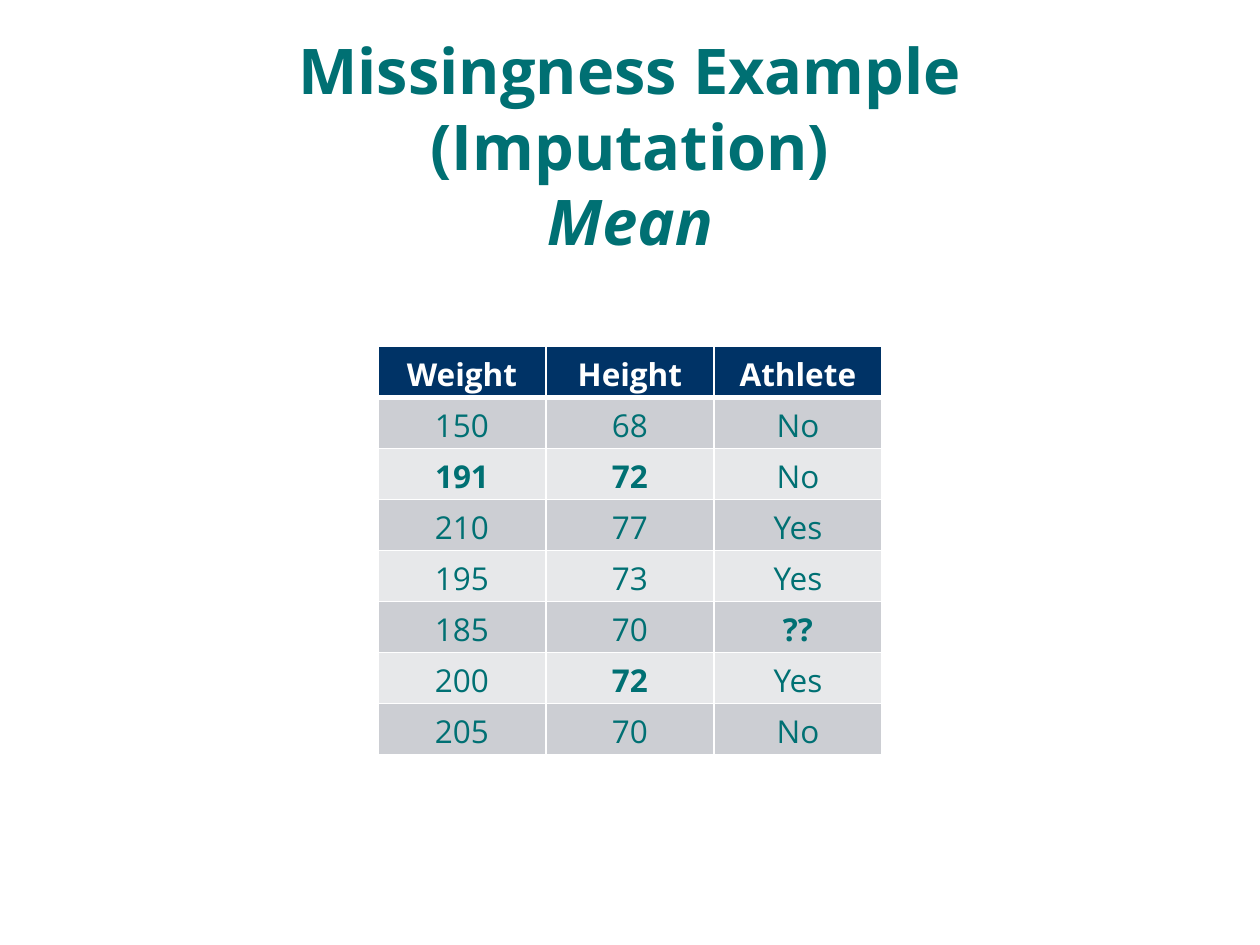
from lxml.etree import SubElement
from pptx import Presentation
from pptx.dml.color import RGBColor
from pptx.enum.text import MSO_ANCHOR, PP_ALIGN
from pptx.oxml.ns import qn
from pptx.util import Inches, Pt

TEAL = RGBColor(0x00, 0x70, 0x73)
NAVY = RGBColor(0x00, 0x33, 0x66)
WHITE = RGBColor(0xFF, 0xFF, 0xFF)
DARK_BAND = RGBColor(0xCC, 0xCE, 0xD3)
LIGHT_BAND = RGBColor(0xE7, 0xE8, 0xEA)
FONT_NAME = "Open Sans"

ROWS = [
    ["Weight", "Height", "Athlete"],
    ["150", "68", "No"],
    ["191", "72", "No"],
    ["210", "77", "Yes"],
    ["195", "73", "Yes"],
    ["185", "70", "??"],
    ["200", "72", "Yes"],
    ["205", "70", "No"],
]
MISSING_CELLS = {(2, 0), (2, 1), (5, 2), (6, 1)}


def format_font(font, size, color, bold):
    font.name = FONT_NAME
    font.size = Pt(size)
    font.color.rgb = color
    font.bold = bold


def add_title(slide, left, top, width, height):
    shape = slide.shapes.add_textbox(left, top, width, height)
    text_frame = shape.text_frame
    text_frame.word_wrap = True
    text_frame.vertical_anchor = MSO_ANCHOR.MIDDLE
    text_frame.text = "Missingness Example\v(Imputation)\vMean"
    paragraph = text_frame.paragraphs[0]
    paragraph.alignment = PP_ALIGN.CENTER
    for run in paragraph.runs:
        format_font(run.font, 36, TEAL, True)
    paragraph.runs[-1].font.italic = True


def add_border(cell, side, width):
    properties = cell._tc.get_or_add_tcPr()
    line = SubElement(properties, qn(f"a:ln{side}"), w=str(Pt(width)))
    fill = SubElement(line, qn("a:solidFill"))
    SubElement(fill, qn("a:srgbClr"), val=str(WHITE))


def format_cell(cell, row, column):
    is_header = row == 0
    widths = {
        "L": 1,
        "R": 1,
        "T": 3 if row == 1 else 1,
        "B": 3 if is_header else 1,
    }
    for side, width in widths.items():
        add_border(cell, side, width)
    cell.fill.solid()
    band = DARK_BAND if row % 2 else LIGHT_BAND
    cell.fill.fore_color.rgb = NAVY if is_header else band
    paragraph = cell.text_frame.paragraphs[0]
    paragraph.alignment = PP_ALIGN.CENTER
    color = WHITE if is_header else TEAL
    bold = is_header or (row, column) in MISSING_CELLS
    format_font(paragraph.runs[0].font, 18, color, bold)


def add_data_table(slide, left, top, width, height):
    table = slide.shapes.add_table(
        len(ROWS), len(ROWS[0]), left, top, width, height
    ).table
    for row, values in enumerate(ROWS):
        for column, value in enumerate(values):
            cell = table.cell(row, column)
            cell.text = value
            format_cell(cell, row, column)


def main():
    presentation = Presentation()
    presentation.slide_width = Inches(10)
    presentation.slide_height = Inches(7.5)
    slide = presentation.slides.add_slide(presentation.slide_layouts[6])
    add_title(slide, Inches(0.5), Inches(0.3), Inches(9), Inches(1.7))
    add_data_table(slide, Inches(3), Inches(2.75), Inches(4), Inches(3.24))
    presentation.save("out.pptx")


if __name__ == "__main__":
    main()
